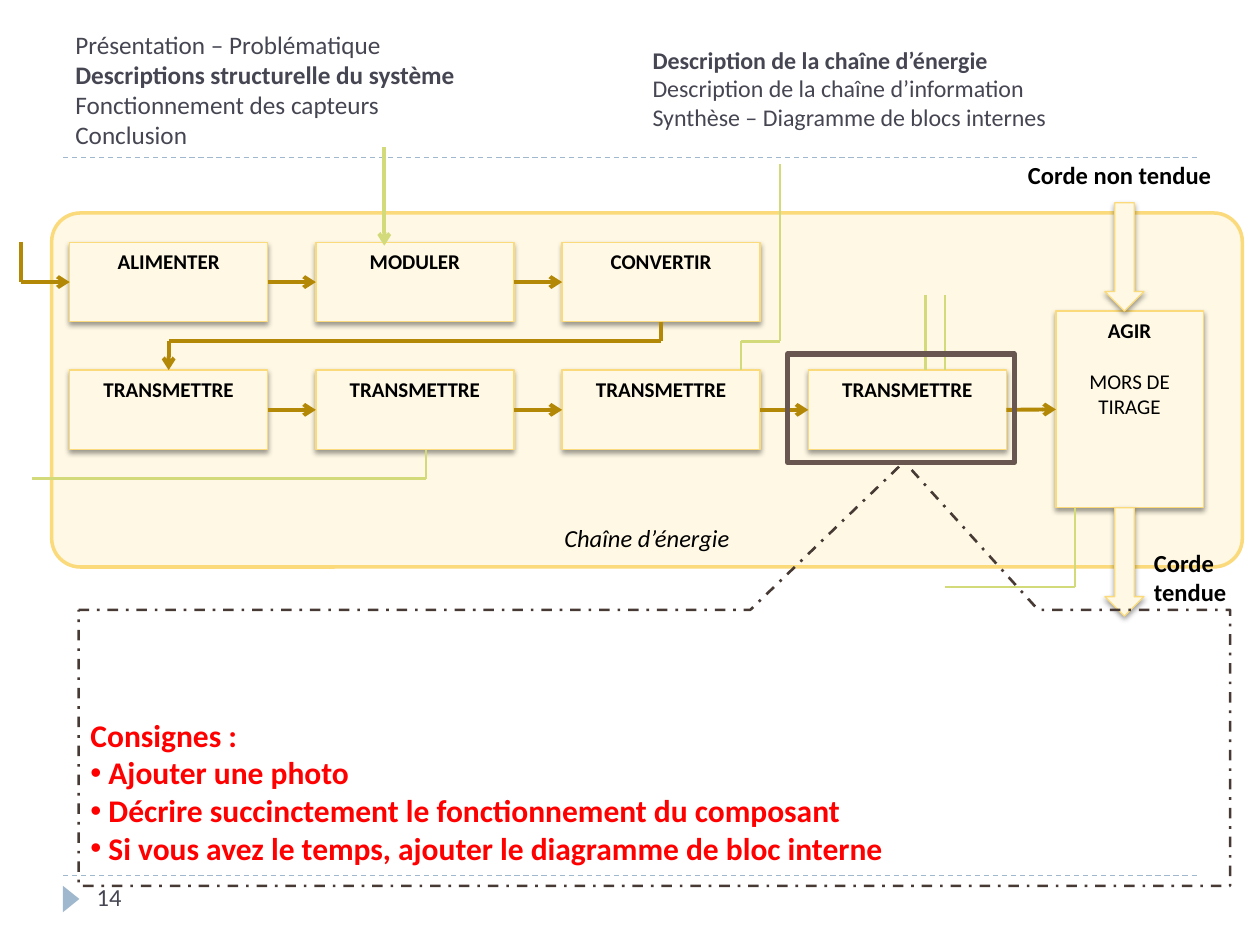
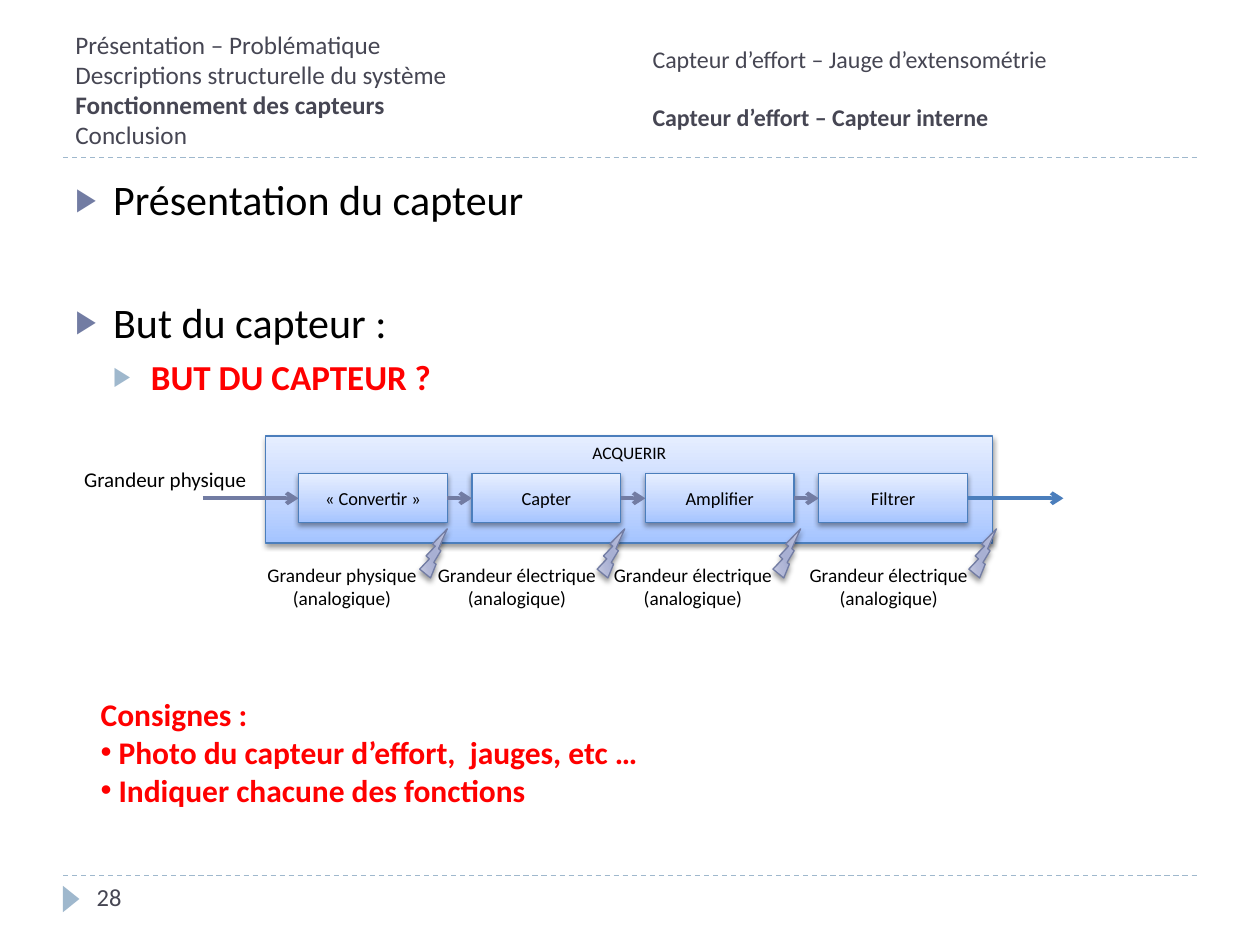
from dataclasses import dataclass
from itertools import pairwise

from lxml import etree
from pptx import Presentation
from pptx.dml.color import RGBColor
from pptx.enum.dml import MSO_LINE
from pptx.enum.shapes import MSO_CONNECTOR, MSO_SHAPE
from pptx.enum.text import MSO_ANCHOR, PP_ALIGN
from pptx.oxml.ns import qn
from pptx.util import Pt

STRAIGHT = MSO_CONNECTOR.STRAIGHT
RECTANGLE, ROUNDED = MSO_SHAPE.RECTANGLE, MSO_SHAPE.ROUNDED_RECTANGLE
TRIANGLE, DOWN_ARROW = MSO_SHAPE.ISOSCELES_TRIANGLE, MSO_SHAPE.DOWN_ARROW
CALLOUT, BOLT = MSO_SHAPE.RECTANGULAR_CALLOUT, MSO_SHAPE.LIGHTNING_BOLT
DASH, DASH_DOT = MSO_LINE.DASH, MSO_LINE.DASH_DOT
TOP, MIDDLE, BOTTOM = MSO_ANCHOR.TOP, MSO_ANCHOR.MIDDLE, MSO_ANCHOR.BOTTOM
LEFT, CENTER = PP_ALIGN.LEFT, PP_ALIGN.CENTER
SIDE_TOP, SIDE_LEFT, SIDE_BOTTOM, SIDE_RIGHT = range(4)

# Shared look
FONT = "Calibri"
BLACK, RED, HEADER = "000000", "FF0000", "464653"
PALE_BLUE, SLATE, BLUE = "9FB8CD", "727CA3", "4B7EBC"
CREAM, YELLOW, OCHRE, GREEN = "FEF8E4", "FADA7A", "B38807", "D2DA7A"
BROWN, DARK_BROWN = "6A5650", "473A35"
BLUE_STOPS = [(0, "A4C4FF"), (35, "BFD4FF"), (100, "E6EEFF")]
BOLT_STOPS = [(0, "C9CDE2"), (30, "B1B7D7"), (45, "A8B0D3"),
              (55, "A8B0D3"), (73, "B1B7D7"), (100, "C9CDE2")]
BLOCK_SHADOW, BOLT_SHADOW = (38, 3.1, 1.6), (40, 3, 2)
CHAPTERS = ["Présentation – Problématique", "Descriptions structurelle du système",
            "Fonctionnement des capteurs", "Conclusion"]


@dataclass
class Line:
    """One paragraph and its formatting."""
    text: str
    size: float
    color: str = BLACK
    bold: bool = False
    italic: bool = False
    align: PP_ALIGN = LEFT
    before: float = 0
    bullet: str = ""
    bullet_color: str = ""
    bullet_size: int = 100
    left: float = 0
    hanging: float = 0


@dataclass
class Dock:
    """The middle of one side of a box."""
    box: object
    side: int

    def point(self):
        box = self.box
        left, top, width, height = (
            value / Pt(1) for value in (box.left, box.top, box.width, box.height))
        return [(left + width / 2, top), (left, top + height / 2),
                (left + width / 2, top + height), (left + width, top + height / 2)][self.side]


def rgb(color):
    return RGBColor.from_string(color)


def add_node(parent, tag, **attributes):
    return etree.SubElement(parent, qn(tag), {key: str(value) for key, value in attributes.items()})


# Text
def add_bullet(para, line):
    properties = para._p.get_or_add_pPr()
    properties.set("marL", str(Pt(line.left)))
    properties.set("indent", str(-Pt(line.hanging)))
    if line.bullet_color:
        add_node(add_node(properties, "a:buClr"), "a:srgbClr", val=line.bullet_color)
    add_node(properties, "a:buSzPct", val=line.bullet_size * 1000)
    add_node(properties, "a:buFont", typeface="Arial")
    add_node(properties, "a:buChar", char=line.bullet)


def write(box, lines, anchor=TOP, inset=None):
    frame = box.text_frame
    frame.word_wrap = True
    frame.vertical_anchor = anchor
    if inset is not None:
        frame.margin_left = frame.margin_right = Pt(inset)
        frame.margin_top = frame.margin_bottom = Pt(inset)
    for index, line in enumerate(lines):
        para = frame.paragraphs[0] if index == 0 else frame.add_paragraph()
        para.text = line.text
        para.alignment = line.align
        para.space_before = Pt(line.before)
        if line.bullet:
            add_bullet(para, line)
        font = para.font
        font.name, font.size = FONT, Pt(line.size)
        font.bold, font.italic = line.bold, line.italic
        font.color.rgb = rgb(line.color)


def add_text(page, area, lines, anchor=TOP, inset=None):
    box = page.shapes.add_textbox(*map(Pt, area))
    write(box, lines, anchor, inset)


# Shapes and lines
def add_gradient(box, stops, angle):
    box.fill.gradient()
    box.fill.gradient_angle = angle
    stop_list = box._element.spPr.find(".//" + qn("a:gsLst"))
    stop_list.clear()
    for position, color in stops:
        stop = add_node(stop_list, "a:gs", pos=position * 1000)
        add_node(stop, "a:srgbClr", val=color)


def add_shadow(box, opacity, blur, distance):
    effects = box._element.spPr.find(qn("a:effectLst"))
    shadow = add_node(effects, "a:outerShdw", blurRad=Pt(blur), dist=Pt(distance),
                      dir=5400000, rotWithShape=0)
    add_node(add_node(shadow, "a:srgbClr", val=BLACK), "a:alpha", val=opacity * 1000)


def add_shape(page, kind, area, fill=None, line=None, width=0.75, dash=None,
              stops=None, angle=90, shadow=None, adjustments=()):
    box = page.shapes.add_shape(kind, *map(Pt, area))
    box.shadow.inherit = False
    for index, value in enumerate(adjustments):
        box.adjustments[index] = value
    if stops:
        add_gradient(box, stops, angle)
    elif fill:
        box.fill.solid()
        box.fill.fore_color.rgb = rgb(fill)
    else:
        box.fill.background()
    if line:
        box.line.color.rgb = rgb(line)
        box.line.width = Pt(width)
        if dash:
            box.line.dash_style = dash
    else:
        box.line.fill.background()
    if shadow:
        add_shadow(box, *shadow)
    return box


def add_route(page, stations, color, width, arrow=False, dash=None):
    """Straight lines through points or docks, with an optional arrowhead at the end."""
    legs = list(pairwise(stations))
    for leg in legs:
        start, end = (place.point() if isinstance(place, Dock) else place for place in leg)
        link = page.shapes.add_connector(STRAIGHT, *map(Pt, start + end))
        for place, join in zip(leg, (link.begin_connect, link.end_connect)):
            if isinstance(place, Dock):
                join(place.box, place.side)
        link.line.color.rgb = rgb(color)
        link.line.width = Pt(width)
        if dash:
            link.line.dash_style = dash
        properties = link._element.spPr
        if arrow and leg is legs[-1]:
            add_node(properties.find(qn("a:ln")), "a:tailEnd", type="arrow")
        add_node(properties, "a:effectLst")


def chain_boxes(page, boxes, color):
    for first, second in pairwise(boxes):
        add_route(page, [Dock(first, SIDE_RIGHT), Dock(second, SIDE_LEFT)], color, 2.25, arrow=True)


# Parts found on both slides
def add_page(deck, number, chapter, topics):
    page = deck.slides.add_slide(deck.slide_layouts[6])
    for y in (500.4, 90):
        add_route(page, [(36, y), (684, y)], PALE_BLUE, 0.75, dash=DASH)
    marker = add_shape(page, TRIANGLE, (33.1, 509, 15.1, 9.4), PALE_BLUE)
    marker.rotation = 90
    titles = [Line(text, 14.4, HEADER, bold=text == chapter) for text in CHAPTERS]
    add_text(page, (36, 12.2, 318, 77.8), titles, MIDDLE)
    add_text(page, (365.8, 11.5, 318, 77.8), topics, MIDDLE)
    add_text(page, (48.2, 500.4, 156, 28.8), [Line(str(number), 14, HEADER)])
    return page


def add_instructions(page, area, tasks):
    lines = [Line("Consignes :", 18, RED, bold=True)]
    lines += [Line(task, 18, RED, bold=True, bullet="•", left=10.3, hanging=10.3) for task in tasks]
    add_text(page, area, lines)


def add_energy_block(page, area, *lines, kind=RECTANGLE):
    block = add_shape(page, kind, area, CREAM, YELLOW, shadow=BLOCK_SHADOW)
    write(block, lines)
    return block


def caption(text, size=12, **style):
    return Line(text, size, align=CENTER, **style)


# Slides
def build_energy_chain(deck):
    topics = [Line("Description de la chaîne d’énergie", 13.7, HEADER, bold=True),
              Line("Description de la chaîne d’information", 13.7, HEADER),
              Line("Synthèse – Diagramme de blocs internes", 13.7, HEADER)]
    page = add_page(deck, 14, CHAPTERS[1], topics)
    add_instructions(page, (44.6, 405.4, 624, 94.3), [
        "Ajouter une photo", "Décrire succinctement le fonctionnement du composant",
        "Si vous avez le temps, ajouter le diagramme de bloc interne"])
    chain = add_shape(page, ROUNDED, (29.5, 121.7, 680.4, 202.3), CREAM, YELLOW, 2,
                      adjustments=[0.081])
    write(chain, [caption("Chaîne d’énergie", 14, italic=True)], BOTTOM)

    # Function blocks
    def block_row(top, names):
        return [add_energy_block(page, (39.8 + 140.7 * column, top, 113.2, 45.4),
                                 caption(name, bold=True)) for column, name in enumerate(names)]

    supply = block_row(138.5, ["ALIMENTER", "MODULER", "CONVERTIR"])
    transmission = block_row(211.5, ["TRANSMETTRE"] * 4)
    act = add_energy_block(page, (603.4, 177.8, 84.2, 112.3), caption("AGIR", bold=True),
                           caption("MORS DE TIRAGE", before=14.6))

    # Energy flow
    chain_boxes(page, supply, OCHRE)
    chain_boxes(page, transmission + [act], OCHRE)
    entry, turn = Dock(supply[0], SIDE_LEFT), Dock(supply[-1], SIDE_BOTTOM)
    landing = Dock(transmission[0], SIDE_TOP)
    add_route(page, [(12.2, 138.2), (12.2, entry.point()[1]), entry], OCHRE, 2.25, arrow=True)
    add_route(page, [turn, (turn.point()[0], 195.1), (landing.point()[0], 195.1), landing],
              OCHRE, 2.25, arrow=True)

    # Rope entering and leaving
    for top in (115.9, 290.2):
        add_energy_block(page, (631.4, top, 22.3, 61.9), kind=DOWN_ARROW)
    add_text(page, (580.3, 87.8, 121, 24.5), [Line("Corde non tendue", 14, bold=True)])
    add_text(page, (652.3, 309.6, 67.7, 41), [Line("Corde tendue", 14, bold=True)])

    # Information links
    for points in ([(445.7, 93.6), (445.7, 195.1), (423.4, 195.1), (423.4, 211.5)],
                   [(243.4, 256.9), (243.4, 273.6), (18, 273.6)],
                   [(614.2, 290.1), (614.2, 335.5), (540, 335.5)],
                   [(540, 168.5), (540, 211.5)], [(528.8, 168.5), (528.8, 211.5)]):
        add_route(page, points, GREEN, 1.5)
    add_route(page, [(219.6, 84.2), (219.6, 140.4)], GREEN, 2.25, arrow=True)

    # Highlighted block and its callout
    add_shape(page, CALLOUT, (44.9, 348.5, 658, 157.7), line=DARK_BROWN, width=1.5,
              dash=DASH_DOT, adjustments=[0.217, -1.037])
    add_shape(page, RECTANGLE, (450, 202.3, 129.6, 61.9), line=BROWN, width=3)


def build_internal_sensor(deck):
    topics = [Line("Capteur d’effort – Jauge d’extensométrie", 13.7, HEADER),
              Line("Capteur d’effort – Capteur interne", 13.7, HEADER, bold=True, before=16.7)]
    page = add_page(deck, 28, CHAPTERS[2], topics)
    main_point = dict(bullet="▶", bullet_color=SLATE, bullet_size=76, left=21.6, hanging=21.6)
    sub_point = dict(main_point, bullet_color=PALE_BLUE, left=43.2)
    add_text(page, (36, 95.8, 648, 389.5), [
        Line("Présentation du capteur", 24, before=6, **main_point),
        Line("But du capteur :", 24, before=41, **main_point),
        Line("BUT DU CAPTEUR ?", 20, RED, bold=True, before=5, **sub_point)])
    add_instructions(page, (50.4, 393.8, 624, 72.7), [
        "Photo du capteur d’effort,  jauges, etc …", "Indiquer chacune des fonctions"])

    # Acquisition chain
    def blue_box(area, text, size, anchor):
        box = add_shape(page, RECTANGLE, area, line=BLUE, stops=BLUE_STOPS, shadow=BLOCK_SHADOW)
        write(box, [caption(text, size)], anchor)
        return box

    blue_box((151.9, 249.1, 415.4, 61.2), "ACQUERIR", 10, TOP)
    steps = [blue_box((170.6 + 99.1 * column, 270.7, 85, 28.1), name, 10.5, MIDDLE)
             for column, name in enumerate(["« Convertir »", "Capter", "Amplifier", "Filtrer"])]
    chain_boxes(page, steps, SLATE)
    entry, outlet = Dock(steps[0], SIDE_LEFT), Dock(steps[-1], SIDE_RIGHT)
    add_route(page, [(115.9, entry.point()[1]), entry], SLATE, 2.25, arrow=True)
    add_route(page, [outlet, (607.7, outlet.point()[1])], BLUE, 2.25, arrow=True)
    add_text(page, (41, 262.8, 109, 21.6), [Line("Grandeur physique", 12)])

    # Quantity carried after each step
    for left, width, kind in ((151.2, 88.6, "physique"), (249.8, 91.4, "électrique"),
                              (350.3, 91.4, "électrique"), (462.2, 91.4, "électrique")):
        add_text(page, (left, 321.8, width, 26.6),
                 [caption(f"Grandeur {kind}", 11), caption("(analogique)", 11)], inset=0)
        bolt = add_shape(page, BOLT, (left + width, 302.2, 15.8, 28.1), line=SLATE,
                         stops=BOLT_STOPS, angle=344, shadow=BOLT_SHADOW)
        bolt._element.spPr.find(qn("a:xfrm")).set("flipV", "1")


def main():
    deck = Presentation()
    deck.slide_width, deck.slide_height = Pt(720), Pt(540)
    build_energy_chain(deck)
    build_internal_sensor(deck)
    deck.save("out.pptx")


if __name__ == "__main__":
    main()
